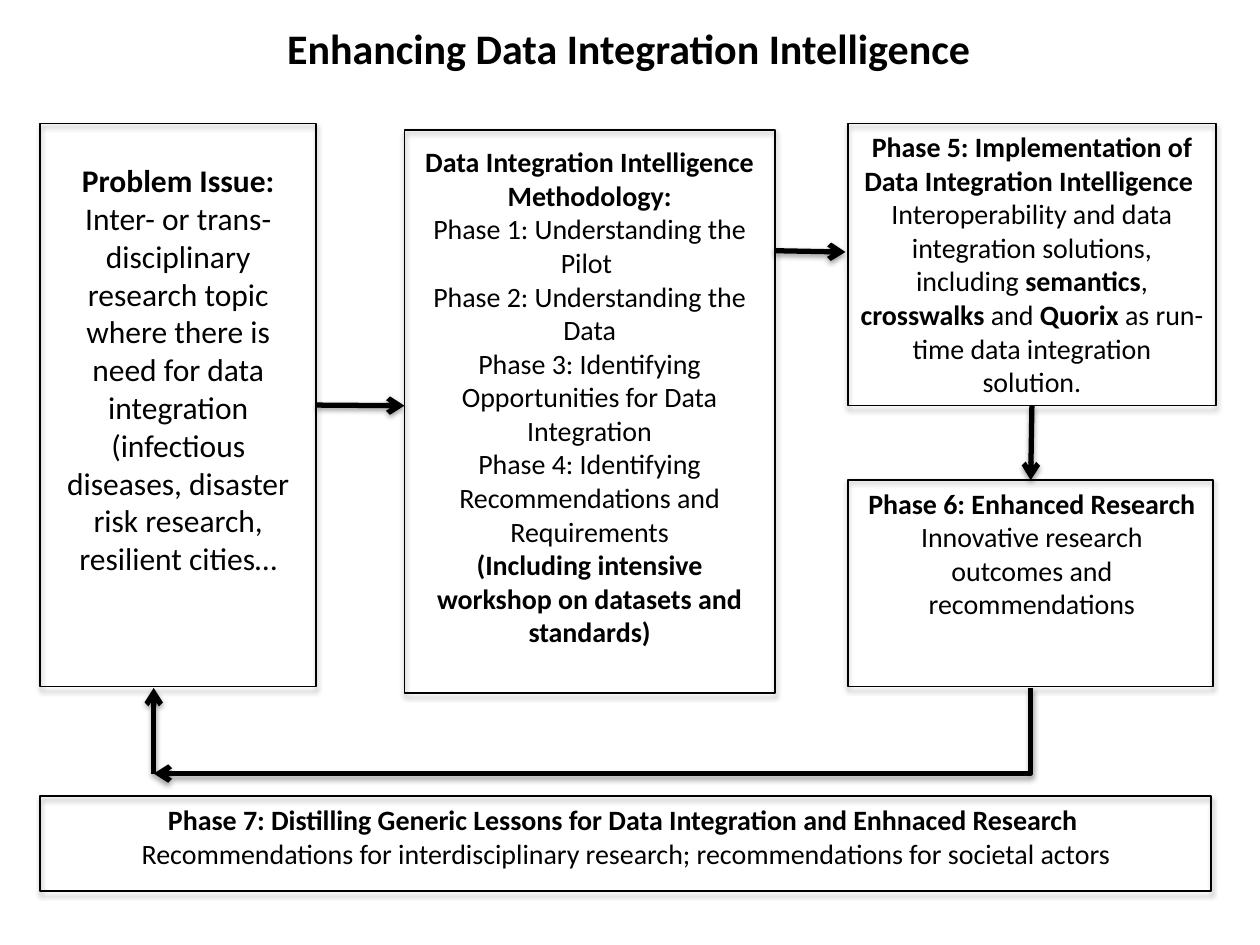
import pptx
import pptx.dml.color
import pptx.enum.shapes
import pptx.enum.text
import pptx.oxml
import pptx.oxml.ns
import pptx.util

Inches = pptx.util.Inches
Pt = pptx.util.Pt
COLORS = {"ink": "000000"}
TITLE_FONT = {"name": "Calibri", "size": Pt(24), "bold": True}
FRAME = {
    "word_wrap": True,
    "auto_size": pptx.enum.text.MSO_AUTO_SIZE.SHAPE_TO_FIT_TEXT,
    "vertical_anchor": pptx.enum.text.MSO_ANCHOR.TOP,
}
PANELS = {
    "problem": ((0.32, 0.98, 2.19, 4.47), (0.33, 1.23, 2.17, 3.43), 18, [
        "*Problem Issue:*",
        "Inter- or trans- disciplinary research topic where there is need for data integration",
        "(infectious diseases, disaster risk research, resilient cities…",
    ]),
    "method": ((3.21, 1.03, 2.94, 4.47), (3.21, 1.1, 2.94, 4.14), 16, [
        "*Data Integration Intelligence Methodology:*",
        "Phase 1: Understanding the Pilot ",
        "Phase 2: Understanding the Data",
        "Phase 3: Identifying Opportunities for Data Integration",
        "Phase 4: Identifying Recommendations and Requirements",
        "*(Including intensive workshop on datasets and standards)*",
    ]),
    "phase5": ((6.73, 0.98, 2.92, 2.24), (6.73, 0.98, 2.92, 2.26), 16, [
        "*Phase 5: Implementation of Data Integration Intelligence *",
        "Interoperability and data integration solutions, including *semantics*, "
        "*crosswalks *and *Quorix *as run-time data integration solution.",
    ]),
    "phase6": ((6.73, 3.81, 2.9, 1.64), (6.75, 3.81, 2.88, 1.18), 16, [
        "*Phase 6: Enhanced Research*",
        "Innovative research outcomes and recommendations",
    ]),
    "phase7": ((0.32, 6.32, 9.29, 0.75), (0.33, 6.32, 9.28, 0.91), 16, [
        "*Phase 7: Distilling Generic Lessons for Data Integration and Enhnaced Research *",
        "Recommendations for interdisciplinary research; recommendations for societal actors",
    ]),
}


def set_attrs(obj, values):
    """Set each named attribute of an object."""
    for name, value in values.items():
        setattr(obj, name, value)


def ink(color):
    """Give a colour format the ink colour."""
    color.rgb = pptx.dml.color.RGBColor.from_string(COLORS["ink"])


def outline(sp, width, distance, alpha):
    """Draw the line of a shape or connector and its soft shadow below."""
    sp.line.fill.solid()
    ink(sp.line.fill.fore_color)
    sp.line.width = Pt(width)
    sp._element.spPr.append(pptx.oxml.parse_xml(
        f'<a:effectLst {pptx.oxml.ns.nsdecls("a")}>'
        f'<a:outerShdw blurRad="{Pt(3.1)}" dist="{Pt(distance)}" dir="5400000" rotWithShape="0">'
        f'<a:srgbClr val="{COLORS["ink"]}"><a:alpha val="{alpha * 1000}"/></a:srgbClr>'
        "</a:outerShdw></a:effectLst>"))


def write(tf, paragraphs, font):
    """Write centred paragraphs, with the parts between asterisks in bold."""
    set_attrs(tf, FRAME)
    for i, text in enumerate(paragraphs):
        p = tf.paragraphs[0] if i == 0 else tf.add_paragraph()
        p.alignment = pptx.enum.text.PP_ALIGN.CENTER
        for j, part in enumerate(text.split("*")):
            if part:
                r = p.add_run()
                r.text = part
                set_attrs(r.font, {"bold": j % 2 == 1, **font})
                ink(r.font.color)


def add_title(s, box, text):
    """Move the title placeholder to the box and fill it."""
    sp = s.shapes.title
    set_attrs(sp, dict(zip(("left", "top", "width", "height"), map(Inches, box))))
    write(sp.text_frame, [text], TITLE_FONT)


def add_panel(s, box, text_box, size, paragraphs):
    """Add an outlined panel and its text, and return the panel."""
    sp = s.shapes.add_shape(pptx.enum.shapes.MSO_SHAPE.RECTANGLE, *map(Inches, box))
    sp.fill.background()
    outline(sp, 1, 1.8, 35)
    tb = s.shapes.add_textbox(*map(Inches, text_box))
    write(tb.text_frame, paragraphs, {"name": "Calibri", "size": Pt(size)})
    return sp


def add_arrow(s, start, end, kind="STRAIGHT"):
    """Add a thick arrow between two points and return it."""
    c = s.shapes.add_connector(
        getattr(pptx.enum.shapes.MSO_CONNECTOR, kind), *map(Inches, start + end))
    outline(c, 3, 1.6, 38)
    ln = c._element.spPr.find(pptx.oxml.ns.qn("a:ln"))
    ln.append(pptx.oxml.parse_xml(f'<a:tailEnd {pptx.oxml.ns.nsdecls("a")} type="arrow"/>'))
    return c


def add_return_arrow(s, start, end):
    """Add an arrow that runs down from the start and then left to the end."""
    across, down = start[0] - end[0], end[1] - start[1]
    x, y = (start[0] + end[0] - down) / 2, (start[1] + end[1] - across) / 2
    c = add_arrow(s, (x, y), (x + down, y + across), "ELBOW")
    spPr = c._element.spPr
    spPr.find(pptx.oxml.ns.qn("a:xfrm")).set("rot", "5400000")
    spPr.find(pptx.oxml.ns.qn("a:prstGeom")).set("prst", "bentConnector2")


def add_flow(s, panels):
    """Add the arrows that lead from panel to panel and back."""
    c = add_arrow(s, (2.51, 3.22), (3.21, 3.22))
    c.begin_connect(panels["problem"], 3)
    add_arrow(s, (6.15, 1.99), (6.71, 2))
    c = add_arrow(s, (8.18, 3.24), (8.18, 3.81))
    c.begin_connect(panels["phase5"], 2)
    c.end_connect(panels["phase6"], 0)
    add_return_arrow(s, (8.18, 5.46), (1.22, 6.14))
    add_arrow(s, (1.22, 6.14), (1.22, 5.46))


def main():
    """Build the slide and save it."""
    prs = pptx.Presentation()
    set_attrs(prs, {"slide_width": Inches(10), "slide_height": Inches(7.5)})
    s = prs.slides.add_slide(prs.slide_layouts[5])
    add_title(s, (0.33, 0.13, 9.32, 0.5), "Enhancing Data Integration Intelligence")
    panels = {name: add_panel(s, *parts) for name, parts in PANELS.items()}
    add_flow(s, panels)
    prs.save("out.pptx")


if __name__ == "__main__":
    main()
